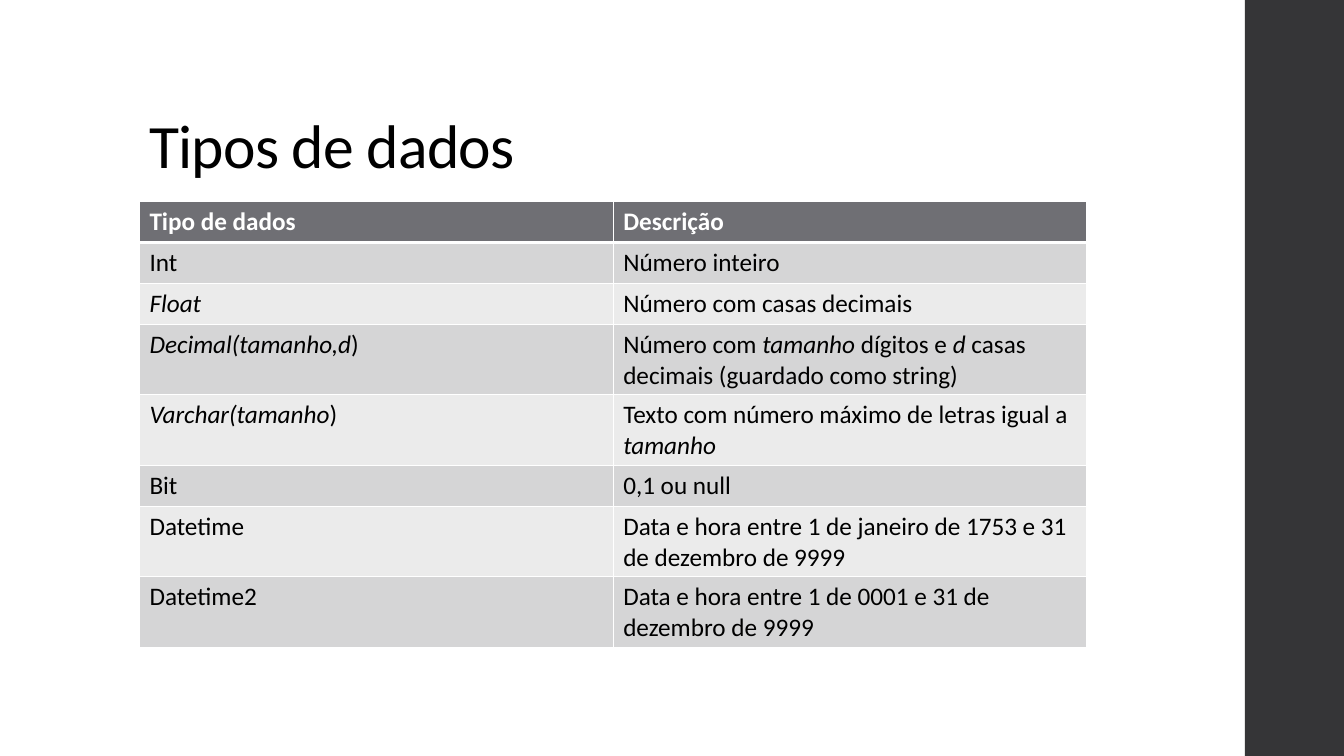
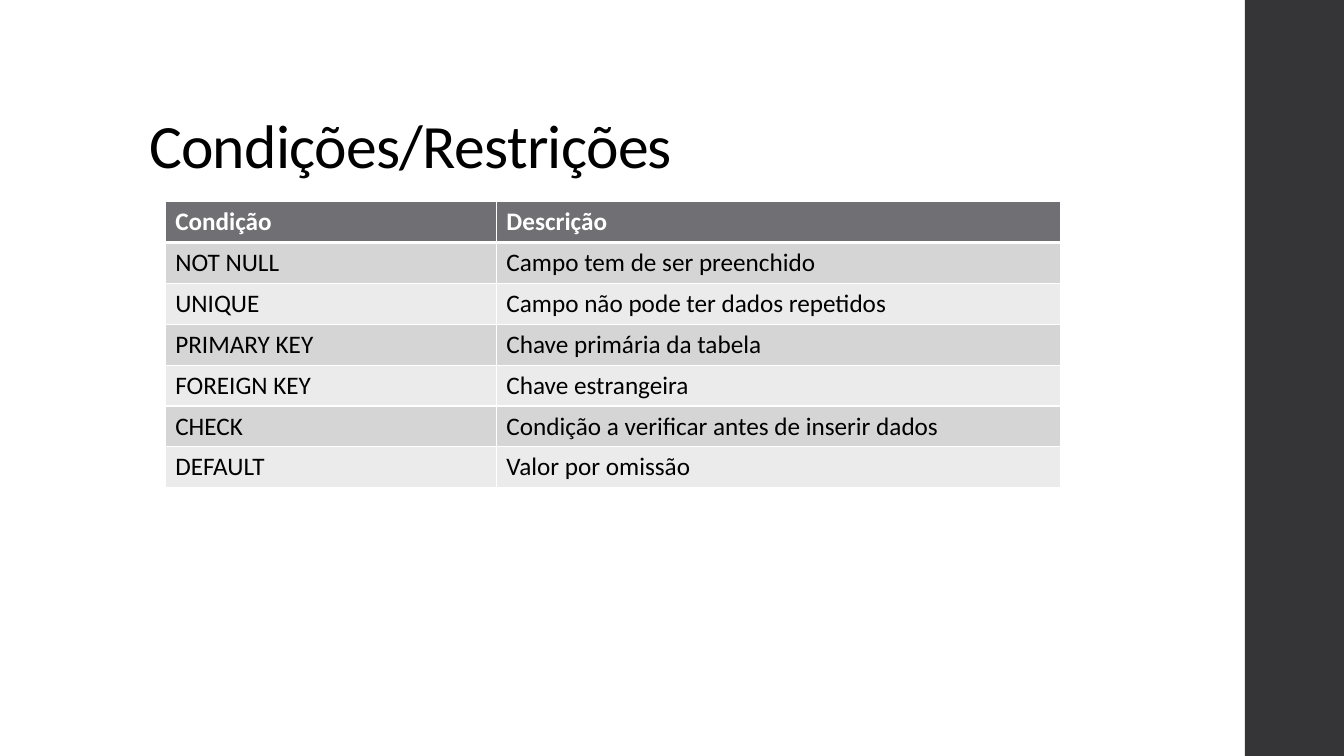
from dataclasses import dataclass

from lxml import etree
from pptx import Presentation
from pptx.dml.color import RGBColor
from pptx.enum import shapes, text
from pptx.oxml import ns
from pptx.util import Pt

FONT = "Calibri"
WHITE = RGBColor(0xFF, 0xFF, 0xFF)
BLACK = RGBColor(0x00, 0x00, 0x00)
SIDE_BAND = RGBColor(0x35, 0x35, 0x37)
HEADER = RGBColor(0x6F, 0x6F, 0x74)
ROW_FILLS = (RGBColor(0xD5, 0xD5, 0xD6), RGBColor(0xEB, 0xEB, 0xEB))

SLIDE_W, SLIDE_H = 960, 540
BAND_LEFT = 889.2
TABLE_TOP = 144
ROW_H = 29.2
THIN, THICK = 1, 3


@dataclass(frozen=True)
class TableSlide:
    """A title and a two-column table; asterisks in cells enclose italics."""
    title: str
    left: float
    widths: tuple[float, ...]
    rows: tuple[tuple[str, ...], ...]


SLIDES = (
    TableSlide("Tipos de dados", 99.6, (338.4, 338.4), (
        ("Tipo de dados", "Descrição"),
        ("Int", "Número inteiro"),
        ("*Float*", "Número com casas decimais"),
        ("*Decimal(tamanho,d*)",
         "Número com *tamanho* dígitos e *d* casas decimais (guardado como string)"),
        ("*Varchar(tamanho*)",
         "Texto com número máximo de letras igual a *tamanho*"),
        ("Bit", "0,1 ou null"),
        ("Datetime",
         "Data e hora entre 1 de janeiro de 1753 e 31 de dezembro de 9999"),
        ("Datetime2", "Data e hora entre 1 de 0001 e 31 de dezembro de 9999"),
    )),
    TableSlide("Condições/Restrições", 118, (236.6, 403.2), (
        ("Condição", "Descrição"),
        ("NOT NULL", "Campo tem de ser preenchido"),
        ("UNIQUE", "Campo não pode ter dados repetidos"),
        ("PRIMARY KEY", "Chave primária da tabela"),
        ("FOREIGN KEY", "Chave estrangeira"),
        ("CHECK", "Condição a verificar antes de inserir dados"),
        ("DEFAULT", "Valor por omissão"),
    )),
)


def write_text(p, content: str, *, size: float = 18, color: RGBColor = BLACK,
               bold: bool = False, spacing: float = 0) -> None:
    """Fill a paragraph, switching italics at each asterisk."""
    for i, part in enumerate(content.split("*")):
        if not part:
            continue
        r = p.add_run()
        r.text = part
        r.font.name = FONT
        r.font.size = Pt(size)
        r.font.color.rgb = color
        r.font.bold = bold
        r.font.italic = i % 2 == 1
        if spacing:
            r.font._element.set("spc", str(round(spacing * 100)))


def set_borders(cell, top: float, bottom: float) -> None:
    tc_pr = cell._tc.get_or_add_tcPr()
    sides = {"lnL": THIN, "lnR": THIN, "lnT": top, "lnB": bottom}
    for i, (side, width) in enumerate(sides.items()):
        ln = etree.Element(ns.qn(f"a:{side}"), w=str(Pt(width)))
        fill = etree.SubElement(ln, ns.qn("a:solidFill"))
        etree.SubElement(fill, ns.qn("a:srgbClr"), val=str(WHITE))
        tc_pr.insert(i, ln)


def add_side_band(s) -> None:
    sp = s.shapes.add_shape(shapes.MSO_SHAPE.RECTANGLE, Pt(BAND_LEFT), Pt(0),
                            Pt(SLIDE_W - BAND_LEFT), Pt(SLIDE_H))
    sp.shadow.inherit = False
    sp.fill.solid()
    sp.fill.fore_color.rgb = SIDE_BAND
    sp.line.fill.background()


def add_title(s, title: str) -> None:
    tf = s.shapes.add_textbox(Pt(99.4), Pt(28.8), Pt(763.2), Pt(104.4)).text_frame
    tf.word_wrap = True
    tf.vertical_anchor = text.MSO_ANCHOR.BOTTOM
    p = tf.paragraphs[0]
    p.line_spacing = 0.9
    write_text(p, title, size=44, spacing=-0.5)


def add_table(s, data: TableSlide) -> None:
    count = len(data.rows)
    table = s.shapes.add_table(count, len(data.widths), Pt(data.left), Pt(TABLE_TOP),
                               Pt(sum(data.widths)), Pt(ROW_H * count)).table
    for column, width in zip(table.columns, data.widths):
        column.width = Pt(width)
    for i, row in enumerate(data.rows):
        table.rows[i].height = Pt(ROW_H)
        is_header = i == 0
        for j, content in enumerate(row):
            cell = table.cell(i, j)
            cell.fill.solid()
            cell.fill.fore_color.rgb = HEADER if is_header else ROW_FILLS[(i - 1) % 2]
            set_borders(cell, top=THICK if i == 1 else THIN,
                        bottom=THICK if is_header else THIN)
            write_text(cell.text_frame.paragraphs[0], content, bold=is_header,
                       color=WHITE if is_header else BLACK)


def main() -> None:
    prs = Presentation()
    prs.slide_width, prs.slide_height = Pt(SLIDE_W), Pt(SLIDE_H)
    blank = prs.slide_layouts[6]
    for data in SLIDES:
        s = prs.slides.add_slide(blank)
        add_side_band(s)
        add_title(s, data.title)
        add_table(s, data)
    prs.save("out.pptx")


if __name__ == "__main__":
    main()
